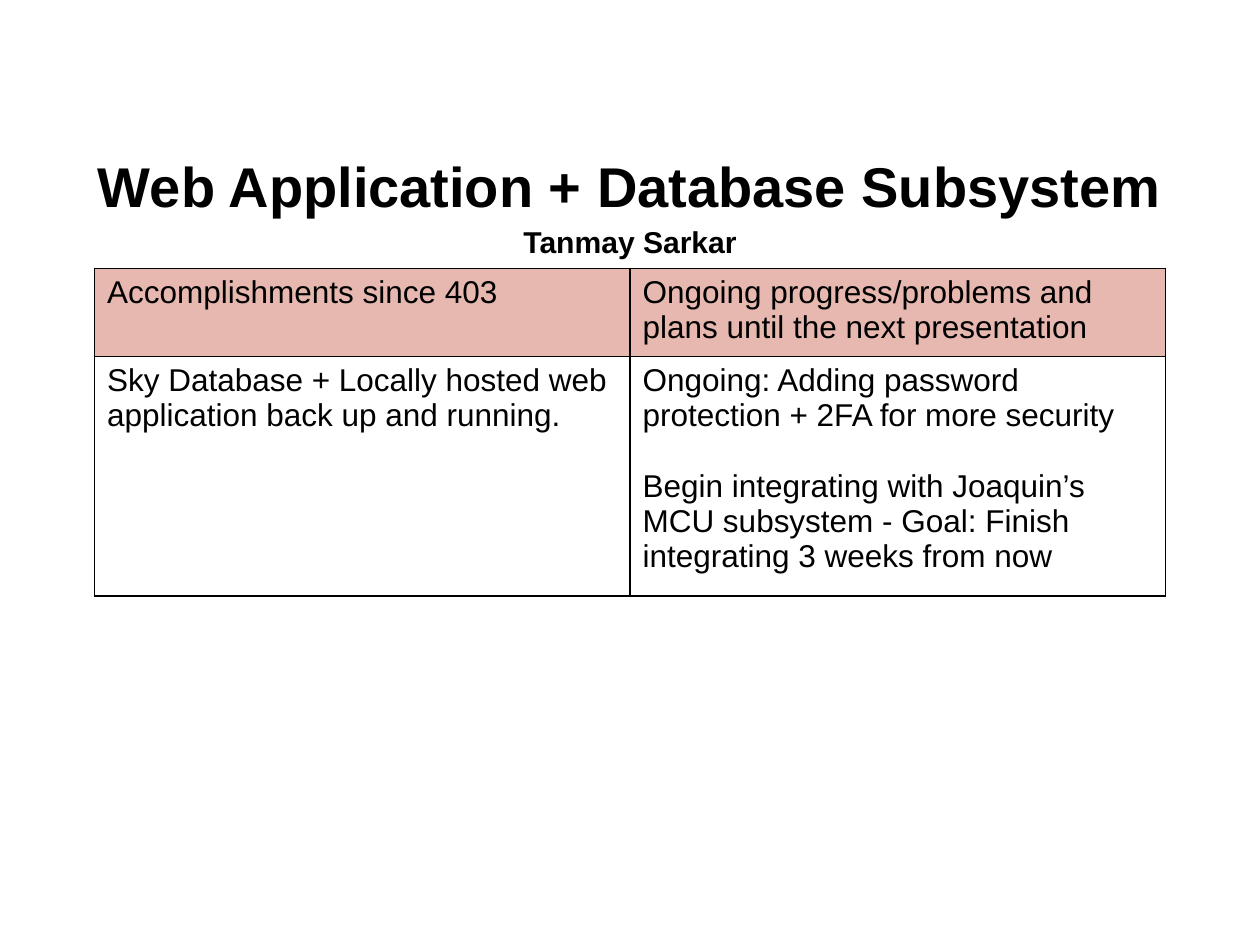
from lxml import etree
from pptx import Presentation
from pptx.dml.color import RGBColor
from pptx.enum.text import MSO_ANCHOR, MSO_AUTO_SIZE, PP_ALIGN
from pptx.oxml.ns import qn
from pptx.util import Inches, Pt

MIDDLE = MSO_ANCHOR.MIDDLE
NONE = MSO_AUTO_SIZE.NONE
CENTER = PP_ALIGN.CENTER
BLACK = RGBColor(0x00, 0x00, 0x00)
PINK = RGBColor(0xE6, 0xB8, 0xAF)


def style(para, size, bold=False):
    font = para.font
    font.name = "Arial"
    font.size = Pt(size)
    font.bold = bold
    font.color.rgb = BLACK


def border(cell):
    props = cell._tc.get_or_add_tcPr()
    for spot, side in enumerate(("lnL", "lnR", "lnT", "lnB")):
        line = etree.Element(qn(f"a:{side}"), w=str(Pt(1)))
        fill = etree.SubElement(line, qn("a:solidFill"))
        etree.SubElement(fill, qn("a:srgbClr"), val=str(BLACK))
        props.insert(spot, line)


deck = Presentation()
deck.slide_width = Inches(10)
deck.slide_height = Inches(7.5)
slide = deck.slides.add_slide(deck.slide_layouts[5])

title = slide.shapes.title
title.left, title.top = Inches(0.5), Inches(1.15)
title.width, title.height = Inches(9), Inches(0.88)
frame = title.text_frame
frame.word_wrap = True
frame.auto_size = NONE
frame.vertical_anchor = MIDDLE
frame.text = "Web Application + Database Subsystem\nTanmay Sarkar"
for para, size in zip(frame.paragraphs, (32, 17.2)):
    para.alignment = CENTER
    para.line_spacing = 1.15
    style(para, size, True)

rows = [
    ["Accomplishments since 403",
     "Ongoing progress/problems and plans until the next presentation"],
    ["Sky Database + Locally hosted web application back up and running.",
     "Ongoing: Adding password protection + 2FA for more security\n"
     "Begin integrating with Joaquin’s MCU subsystem - Goal: Finish "
     "integrating 3 weeks from now"],
]
table = slide.shapes.add_table(
    2, 2, Inches(0.75), Inches(2.13), Inches(8.5), Inches(2.6)).table
for col in table.columns:
    col.width = Inches(4.25)
for row, height in zip(table.rows, (0.7, 1.9)):
    row.height = Inches(height)

for r, texts in enumerate(rows):
    for c, text in enumerate(texts):
        cell = table.cell(r, c)
        cell.text = text
        if r == 0:
            cell.fill.solid()
            cell.fill.fore_color.rgb = PINK
        else:
            cell.fill.background()
        border(cell)
        for n, para in enumerate(cell.text_frame.paragraphs):
            if n:
                para.space_before = Pt(20)
            style(para, 18)

deck.save("out.pptx")
